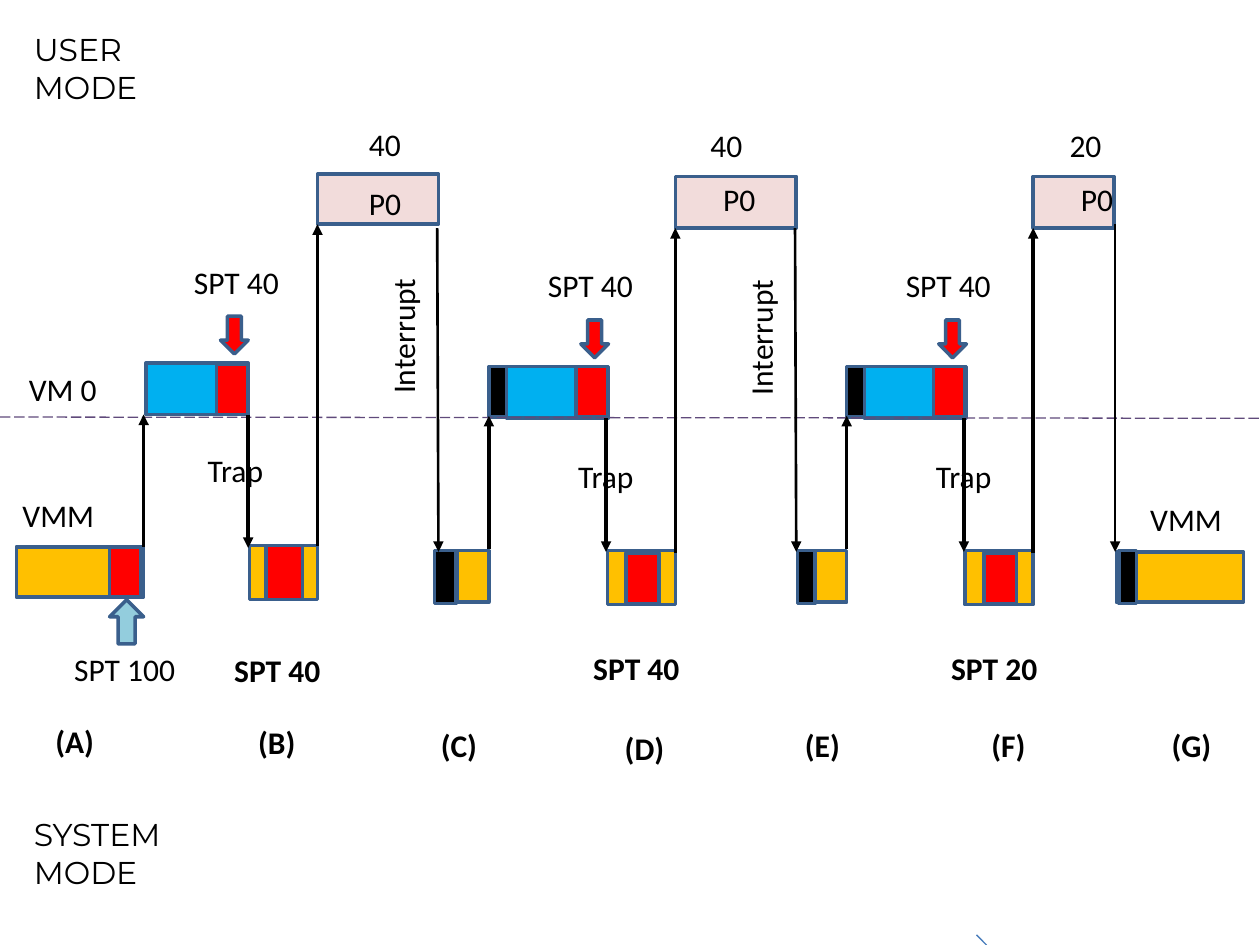
import lxml.etree
import pptx
import pptx.util
import pptx.dml.color
import pptx.enum.dml
import pptx.enum.shapes
import pptx.enum.text
import pptx.oxml.ns

Inches, Pt = pptx.util.Inches, pptx.util.Pt
RGBColor = pptx.dml.color.RGBColor
SHAPE = pptx.enum.shapes.MSO_SHAPE
AUTO_SIZE = pptx.enum.text.MSO_AUTO_SIZE
qn = pptx.oxml.ns.qn

BLACK = RGBColor(0x00, 0x00, 0x00)
AMBER = RGBColor(0xFF, 0xC0, 0x00)
BLUE = RGBColor(0x00, 0xB0, 0xF0)
RED = RGBColor(0xFF, 0x00, 0x00)
PINK = RGBColor(0xF2, 0xDC, 0xDB)
TEAL = RGBColor(0x93, 0xCD, 0xDD)
OUTLINE = RGBColor(0x3A, 0x5F, 0x8C)
PURPLE = RGBColor(0x60, 0x4A, 0x7B)
STEEL = RGBColor(0x4B, 0x7E, 0xBC)

# Stages C-D recur as E-F, one period to the right
PERIOD = 2.84

# Blocks: fill, left, top, width, height
BLOCKS = [
    (AMBER, 0.13, 4.34, 1.01, 0.4), (RED, 0.87, 4.34, 0.25, 0.4),
    (BLUE, 1.16, 2.88, 0.81, 0.41), (RED, 1.72, 2.89, 0.25, 0.4),
    (AMBER, 1.98, 4.33, 0.54, 0.43), (RED, 2.11, 4.33, 0.29, 0.43),
    (PINK, 2.52, 1.38, 0.96, 0.4), (PINK, 5.36, 1.4, 0.96, 0.41),
    (PINK, 8.2, 1.4, 0.64, 0.41),
    (BLACK, 3.45, 4.37, 0.17, 0.42), (BLACK, 6.33, 4.37, 0.14, 0.42),
    (AMBER, 8.86, 4.38, 1.01, 0.4), (BLACK, 8.88, 4.37, 0.14, 0.42),
]
CYCLE_BLOCKS = [
    (AMBER, 3.63, 4.37, 0.25, 0.41), (BLACK, 3.88, 2.91, 0.14, 0.4),
    (BLUE, 4.02, 2.91, 0.81, 0.41), (RED, 4.57, 2.91, 0.25, 0.4),
    (AMBER, 4.82, 4.37, 0.54, 0.43), (RED, 4.97, 4.39, 0.26, 0.4),
]

# Block arrows that mark the timer: shape, fill, left, top, width, height
TIMER_ARROWS = [
    (SHAPE.UP_ARROW, TEAL, 0.87, 4.76, 0.27, 0.35),
    (SHAPE.DOWN_ARROW, RED, 1.75, 2.51, 0.22, 0.3),
    (SHAPE.DOWN_ARROW, RED, 4.61, 2.54, 0.22, 0.3),
    (SHAPE.DOWN_ARROW, RED, 4.61 + PERIOD, 2.54, 0.22, 0.3),
]

# Control transfers: x1, y1, x2, y2, width in points
TRANSFERS = [
    (1.14, 4.34, 1.14, 3.29, 2), (1.97, 3.29, 1.97, 4.35, 2),
    (2.52, 4.33, 2.52, 1.78, 2), (8.85, 1.78, 8.85, 4.38, 1.5),
]
CYCLE_TRANSFERS = [
    (3.47, 1.81, 3.48, 4.38, 1.5), (3.88, 4.36, 3.88, 3.3, 2),
    (4.81, 3.32, 4.81, 4.38, 2), (5.36, 4.39, 5.36, 1.81, 2),
]

# Labels: wording, left, top, width
LABELS = [
    ("VMM", 0.08, 3.89, 0.78), ("VM 0", 0.13, 2.89, 0.75),
    ("SPT 100", 0.49, 5.11, 1.01), ("SPT 40", 1.44, 2.04, 0.88),
    ("Trap", 1.55, 3.53, 0.65), ("40", 2.83, 0.94, 0.46),
    ("P0", 2.83, 1.41, 0.65), ("40", 5.54, 0.95, 0.46),
    ("20", 8.39, 0.95, 0.46), ("VMM", 9.03, 3.92, 0.78),
]
CYCLE_LABELS = [
    ("SPT 40", 4.25, 2.06, 0.88), ("Trap", 4.49, 3.58, 0.65),
    ("P0", 5.64, 1.38, 0.65),
]
BOLD_LABELS = [
    ("SPT 40", 1.76, 5.12, 0.89), ("SPT 40", 4.61, 5.1, 0.89),
    ("SPT 20", 7.45, 5.1, 0.89),
    ("(A)", 0.34, 5.68, 0.51), ("(B)", 1.95, 5.69, 0.51),
    ("(C)", 3.4, 5.71, 0.51), ("(D)", 4.86, 5.74, 0.61),
    ("(E)", 6.29, 5.71, 0.61), ("(F)", 7.77, 5.71, 0.61),
    ("(G)", 9.2, 5.71, 0.61),
]
MODES = [("USER\nMODE", 0.17, 0.19, 1.06), ("SYSTEM\nMODE", 0.17, 6.42, 1.44)]
INTERRUPTS = [("Interrupt", 2.63, 2.46, 1.13),
              ("Interrupt", 2.63 + PERIOD, 2.47, 1.13)]


def add_block(page, fill, *place, kind=SHAPE.RECTANGLE):
    block = page.shapes.add_shape(kind, *map(Inches, place))
    block.shadow.inherit = False
    block.fill.solid()
    block.fill.fore_color.rgb = fill
    block.line.color.rgb = OUTLINE
    block.line.width = Pt(2)


def add_line(page, ends, width, color=BLACK, arrow=False, dash=None):
    line = page.shapes.add_connector(
        pptx.enum.shapes.MSO_CONNECTOR.STRAIGHT, *map(Inches, ends))
    line.line.color.rgb = color
    for name, value in {"width": Pt(width), "dash_style": dash}.items():
        setattr(line.line, name, value)
    properties = line._element.find(qn("p:spPr"))
    if arrow:
        lxml.etree.SubElement(properties.find(qn("a:ln")), qn("a:tailEnd"),
                              type="triangle")
    lxml.etree.SubElement(properties, qn("a:effectLst"))


def add_label(page, wording, left, top, width, font="Calibri", bold=False, turn=0):
    height = 0.71 if "\n" in wording else 0.4
    box = page.shapes.add_textbox(*map(Inches, (left, top, width, height)))
    box.rotation = turn
    frame = box.text_frame
    frame.word_wrap = False
    frame.auto_size = AUTO_SIZE.SHAPE_TO_FIT_TEXT
    frame.text = wording
    for para in frame.paragraphs:
        for span in para.runs:
            for name, value in {"name": font, "size": Pt(18), "bold": bold}.items():
                setattr(span.font, name, value)
            span.font.color.rgb = BLACK


def main():
    deck = pptx.Presentation()
    deck.slide_width, deck.slide_height = Inches(10), Inches(7.5)
    page = deck.slides.add_slide(deck.slide_layouts[6])

    # Execution blocks and timer markers
    for block in BLOCKS:
        add_block(page, *block)
    for shift in (0, PERIOD):
        for fill, left, *rest in CYCLE_BLOCKS:
            add_block(page, fill, left + shift, *rest)
    for kind, *block in TIMER_ARROWS:
        add_block(page, *block, kind=kind)

    # Boundary between the modes, and the short stroke at the bottom edge
    add_line(page, (0, 3.31, 10, 3.32), 0.75, PURPLE,
             dash=pptx.enum.dml.MSO_LINE.LONG_DASH)
    add_line(page, (7.75, 7.42, 7.83, 7.5), 0.75, STEEL)

    # Transfers of control
    for *ends, width in TRANSFERS:
        add_line(page, ends, width, arrow=True)
    for shift in (0, PERIOD):
        for x1, y1, x2, y2, width in CYCLE_TRANSFERS:
            add_line(page, (x1 + shift, y1, x2 + shift, y2), width, arrow=True)

    # Wording
    for label in LABELS:
        add_label(page, *label)
    for shift in (0, PERIOD):
        for wording, left, top, width in CYCLE_LABELS:
            add_label(page, wording, left + shift, top, width)
    for label in BOLD_LABELS:
        add_label(page, *label, bold=True)
    for label in INTERRUPTS:
        add_label(page, *label, turn=270)
    for label in MODES:
        add_label(page, *label, font="Montserrat")

    deck.save("out.pptx")


if __name__ == "__main__":
    main()
